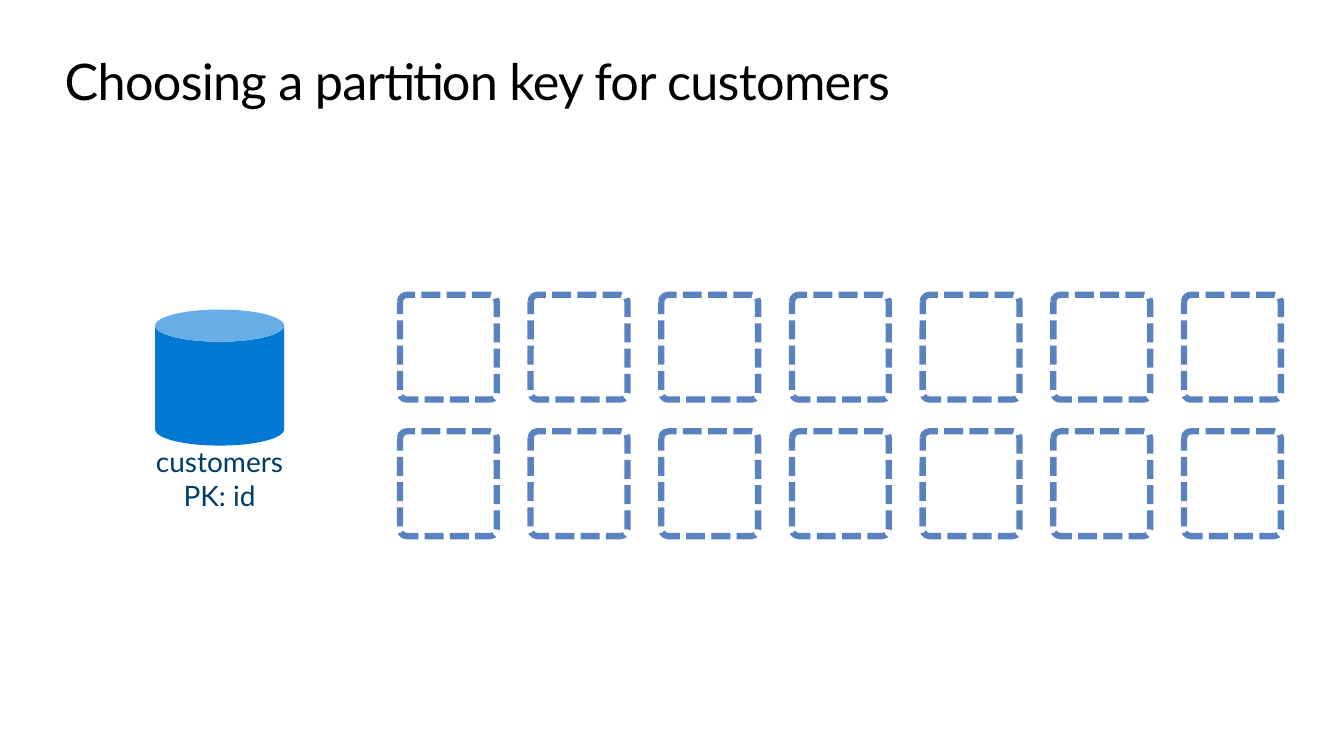
import dataclasses

import pptx
import pptx.dml.color
import pptx.enum.dml
import pptx.enum.shapes
import pptx.enum.text
import pptx.util

Cm = pptx.util.Cm
Pt = pptx.util.Pt
Shape = pptx.enum.shapes.MSO_SHAPE
Align = pptx.enum.text.PP_ALIGN
Anchor = pptx.enum.text.MSO_ANCHOR
Fit = pptx.enum.text.MSO_AUTO_SIZE


@dataclasses.dataclass(frozen=True)
class Theme:
    font: str = "Lato"
    title: str = "000000"
    store: str = "0078D4"
    label: str = "003C6A"
    slot: str = "5A81C0"
    title_size: float = 36
    label_size: float = 20
    slot_line: float = 4.5


THEME = Theme()


def rgb(code):
    return pptx.dml.color.RGBColor.from_string(code)


def write(shape, text, *, size, color, align=Align.LEFT, anchor=Anchor.MIDDLE,
          inset=(0, 0, 0, 0), wrap=True, fit=Fit.NONE, track=None):
    """Fill a shape with text, one paragraph a line; inset is in cm."""
    frame = shape.text_frame
    frame.text = text
    frame.word_wrap = wrap
    frame.auto_size = fit
    frame.vertical_anchor = anchor
    (frame.margin_left, frame.margin_top,
     frame.margin_right, frame.margin_bottom) = map(Cm, inset)
    for para in frame.paragraphs:
        para.alignment = align
        for run in para.runs:
            run.font.name = THEME.font
            run.font.size = Pt(size)
            run.font.color.rgb = rgb(color)
            if track is not None:
                run.font._element.set("spc", str(round(track * 100)))


def add_title(slide, text, left, top, width, height):
    title = slide.shapes.title
    title.left, title.top = Cm(left), Cm(top)
    title.width, title.height = Cm(width), Cm(height)
    write(title, text, size=THEME.title_size, color=THEME.title,
          anchor=Anchor.TOP, fit=Fit.SHAPE_TO_FIT_TEXT, track=-0.5)


def add_store(slide, text, left, top, width, height):
    """Draw a database can whose top inset pushes its label below it."""
    can = slide.shapes.add_shape(
        Shape.CAN, Cm(left), Cm(top), Cm(width), Cm(height))
    can.shadow.inherit = False
    can.fill.solid()
    can.fill.fore_color.rgb = rgb(THEME.store)
    can.line.fill.background()
    write(can, text, size=THEME.label_size, color=THEME.label,
          align=Align.CENTER, inset=(0, 5.08, 0, 0.41), wrap=False)


def add_slots(slide, left, top, width, height, rows=2, cols=7):
    """Spread dashed partition slots evenly over the box."""
    wide, high = 2.44, 2.64
    step_x = (width - wide) / (cols - 1)
    step_y = (height - high) / (rows - 1)
    group = slide.shapes.add_group_shape()
    for row in range(rows):
        for col in range(cols):
            slot = group.shapes.add_shape(
                Shape.ROUNDED_RECTANGLE,
                Cm(left + col * step_x), Cm(top + row * step_y),
                Cm(wide), Cm(high))
            slot.adjustments[0] = 0.07
            slot.shadow.inherit = False
            slot.fill.background()
            slot.line.color.rgb = rgb(THEME.slot)
            slot.line.width = Pt(THEME.slot_line)
            # SQUARE_DOT is stored as the "sysDash"-style short dash below.
            slot.line.dash_style = pptx.enum.dml.MSO_LINE.SQUARE_DOT
            slot.line._ln.prstDash.set("val", "sysDash")


def main():
    deck = pptx.Presentation()
    deck.slide_width, deck.slide_height = Cm(33.87), Cm(19.05)
    slide = deck.slides.add_slide(deck.slide_layouts.get_by_name("Title Only"))
    add_title(slide, "Choosing a partition key for customers",
              1.63, 1.27, 30.61, 1.55)
    add_store(slide, "customers\nPK: id", 3.91, 7.8, 3.25, 3.43)
    add_slots(slide, 10.08, 7.43, 22.2, 6.08)
    deck.save("out.pptx")


if __name__ == "__main__":
    main()
